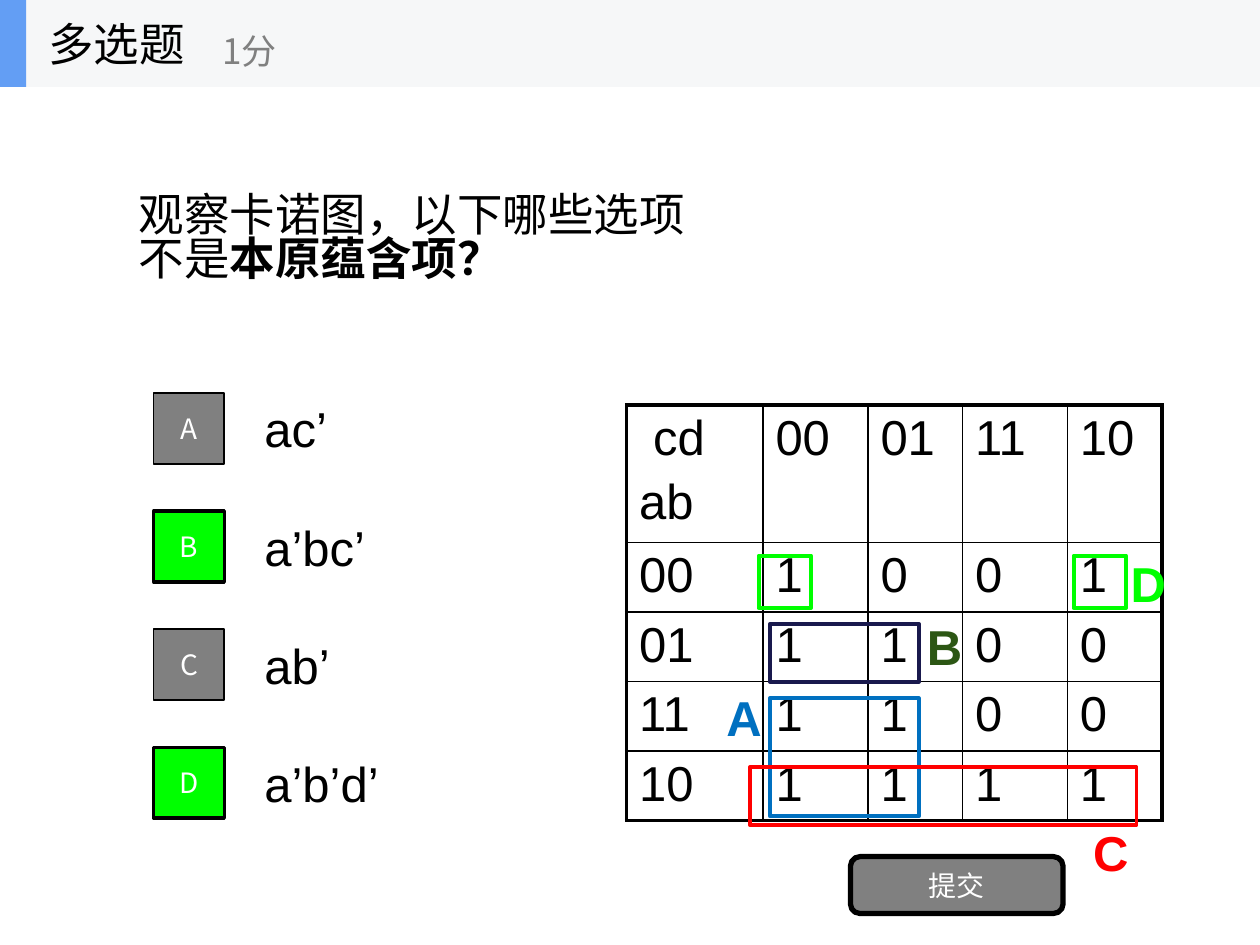
import pptx
import pptx.dml.color
import pptx.enum.shapes
import pptx.enum.text
import pptx.oxml
import pptx.oxml.ns
import pptx.util

Pt = pptx.util.Pt
ALIGN = pptx.enum.text.PP_ALIGN
ANCHOR = pptx.enum.text.MSO_ANCHOR
SHAPE = pptx.enum.shapes.MSO_SHAPE

COLOURS = {
    "black": "000000", "white": "FFFFFF", "grey": "808080", "green": "00FF00",
    "blue": "0070C0", "navy": "19194D", "olive": "2C5614", "red": "FF0000",
    "band": "F6F7F8", "accent": "639EF4",
}
LATIN, CHINESE = "Arial", "Noto Sans CJK SC"

OPTIONS = [("A", "ac’", False), ("B", "a’bc’", True),
           ("C", "ab’", False), ("D", "a’b’d’", True)]
OPTION_STEP = 67.5
MAP_ROWS = [
    ["cd\nab", "00", "01", "11", "10"],
    ["00", "1", "0", "0", "1"],
    ["01", "1", "1", "0", "0"],
    ["11", "1", "1", "0", "0"],
    ["10", "1", "1", "1", "1"],
]
COLUMN_WIDTHS = [78, 60, 54, 60, 54]
HEADER_HEIGHT, ROW_HEIGHT = 75.5, 38.3
LOOPS = [  # left, top, width, height, colour
    (440, 399, 85, 67.5, "blue"),
    (440, 356.5, 85, 33, "navy"),
    (428.5, 438.5, 221, 33, "red"),
    (433.5, 317.5, 30, 30, "green"),
    (613.5, 317.5, 30, 30, "green"),
]
LOOP_LABELS = [("A", 408, 389.5, "blue"), ("B", 522.5, 348.5, "olive"),
               ("D", 639, 312.5, "green"), ("C", 617.5, 466.5, "red")]


def rgb(colour):
    return pptx.dml.color.RGBColor.from_string(COLOURS[colour])


def apply(target, formats):
    for name, value in formats.items():
        setattr(target, name, value)


def add_span(para, text, size, colour, font=LATIN, bold=False):
    span = para.add_run()
    span.text = text
    apply(span.font, {"name": font, "size": Pt(size), "bold": bold})
    span.font.color.rgb = rgb(colour)
    east_asian = pptx.oxml.parse_xml(
        f'<a:ea {pptx.oxml.ns.nsdecls("a")} typeface="{font}"/>')
    span.font._element.append(east_asian)


def add_text(shapes, area, text, size, colour, anchor=ANCHOR.MIDDLE, **style):
    box = shapes.add_textbox(*map(Pt, area))
    apply(box.text_frame, {"word_wrap": True, "vertical_anchor": anchor})
    add_span(box.text_frame.paragraphs[0], text, size, colour, **style)


def add_block(shapes, area, fill=None, line=None, weight=1, kind=SHAPE.RECTANGLE):
    block = shapes.add_shape(kind, *map(Pt, area))
    block.shadow.inherit = False
    if fill:
        block.fill.solid()
        block.fill.fore_color.rgb = rgb(fill)
    else:
        block.fill.background()
    if line:
        block.line.color.rgb = rgb(line)
        block.line.width = Pt(weight)
    else:
        block.line.fill.background()
    return block


def add_button(shapes, area, text, fill, weight, kind=SHAPE.RECTANGLE):
    button = add_block(shapes, area, fill, "black", weight, kind)
    apply(button.text_frame, {"margin_left": 0, "margin_right": 0,
                              "margin_top": 0, "margin_bottom": 0,
                              "vertical_anchor": ANCHOR.MIDDLE})
    para = button.text_frame.paragraphs[0]
    para.alignment = ALIGN.CENTER
    add_span(para, text, 16, "white", CHINESE)


def add_question(page):
    title = page.shapes.title
    apply(title, {"left": Pt(72), "top": Pt(49.5),
                  "width": Pt(576), "height": Pt(168.5)})
    frame = title.text_frame
    apply(frame, {"word_wrap": True, "vertical_anchor": ANCHOR.MIDDLE,
                  "margin_top": Pt(11),
                  "auto_size": pptx.enum.text.MSO_AUTO_SIZE.NONE})
    first, second = frame.paragraphs[0], frame.add_paragraph()
    for para in (first, second):
        apply(para, {"alignment": ALIGN.LEFT, "line_spacing": 0.8})
    add_span(first, "观察卡诺图，以下哪些选项", 26, "black", CHINESE)
    add_span(second, "不是", 26, "black", CHINESE)
    add_span(second, "本原蕴含项？", 26, "black", CHINESE, bold=True)


def add_options(page):
    for index, (letter, term, chosen) in enumerate(OPTIONS):
        offset = index * OPTION_STEP
        add_text(page.shapes, (144, 219.5 + offset, 504, 50.5), term, 28, "black")
        fill, weight = ("green", 2) if chosen else ("grey", 1)
        add_button(page.shapes, (87.8, 224.6 + offset, 40.4, 40.4),
                   letter, fill, weight)


def set_borders(cell, weights):
    """Draw black borders; weights maps L, R, T and B to points."""
    properties = cell._tc.get_or_add_tcPr()
    for index, (side, weight) in enumerate(weights.items()):
        properties.insert(index, pptx.oxml.parse_xml(
            f'<a:ln{side} {pptx.oxml.ns.nsdecls("a")} w="{Pt(weight)}">'
            f'<a:solidFill><a:srgbClr val="{COLOURS["black"]}"/></a:solidFill>'
            f'</a:ln{side}>'))


def fill_cell(cell, text):
    apply(cell, {"margin_top": Pt(3.6), "margin_bottom": Pt(2.5)})
    cell.fill.background()
    for index, line in enumerate(text.split("\n")):
        para = cell.text_frame.add_paragraph() if index else cell.text_frame.paragraphs[0]
        para.alignment = ALIGN.JUSTIFY
        if index:
            para.space_before = Pt(5)
        if line == "cd":
            para._p.get_or_add_pPr().set("marL", str(Pt(8)))
        add_span(para, line, 28, "black")


def add_karnaugh_map(page):
    last = len(MAP_ROWS) - 1
    height = HEADER_HEIGHT + last * ROW_HEIGHT
    area = (358, 231.5, sum(COLUMN_WIDTHS), height)
    table = page.shapes.add_table(last + 1, len(COLUMN_WIDTHS), *map(Pt, area)).table
    apply(table, {"first_row": False, "horz_banding": False})
    for column, width in zip(table.columns, COLUMN_WIDTHS):
        column.width = Pt(width)
    for r, texts in enumerate(MAP_ROWS):
        table.rows[r].height = Pt(ROW_HEIGHT if r else HEADER_HEIGHT)
        for c, text in enumerate(texts):
            cell = table.cell(r, c)
            fill_cell(cell, text)
            outer = {"L": c == 0, "R": c == len(texts) - 1, "T": r == 0, "B": r == last}
            set_borders(cell, {side: 2.25 if edge else 1
                               for side, edge in outer.items()})


def add_loops(page):
    for *area, colour in LOOPS:
        add_block(page.shapes, area, line=colour, weight=2.25)
    for letter, left, top, colour in LOOP_LABELS:
        add_text(page.shapes, (left, top, 40, 41), letter, 28, colour,
                 ANCHOR.TOP, bold=True)


def add_header(page):
    header = page.shapes.add_group_shape().shapes
    add_block(header, (0, 0, 720, 49.7), "band")
    add_block(header, (0, 0, 15, 49.7), "accent")
    add_text(header, (20.5, 0, 150, 49.7), "多选题", 26, "black", font=CHINESE)
    add_text(header, (120, 8.6, 180, 40.3), "1分", 20, "grey", font=CHINESE)


def main():
    deck = pptx.Presentation()
    apply(deck, {"slide_width": Pt(720), "slide_height": Pt(540)})
    page = deck.slides.add_slide(deck.slide_layouts[5])
    add_question(page)
    add_options(page)
    add_karnaugh_map(page)
    add_loops(page)
    add_button(page.shapes, (486, 489.5, 121.5, 32.5), "提交", "grey", 3,
               SHAPE.ROUNDED_RECTANGLE)
    add_header(page)
    deck.save("out.pptx")


if __name__ == "__main__":
    main()
